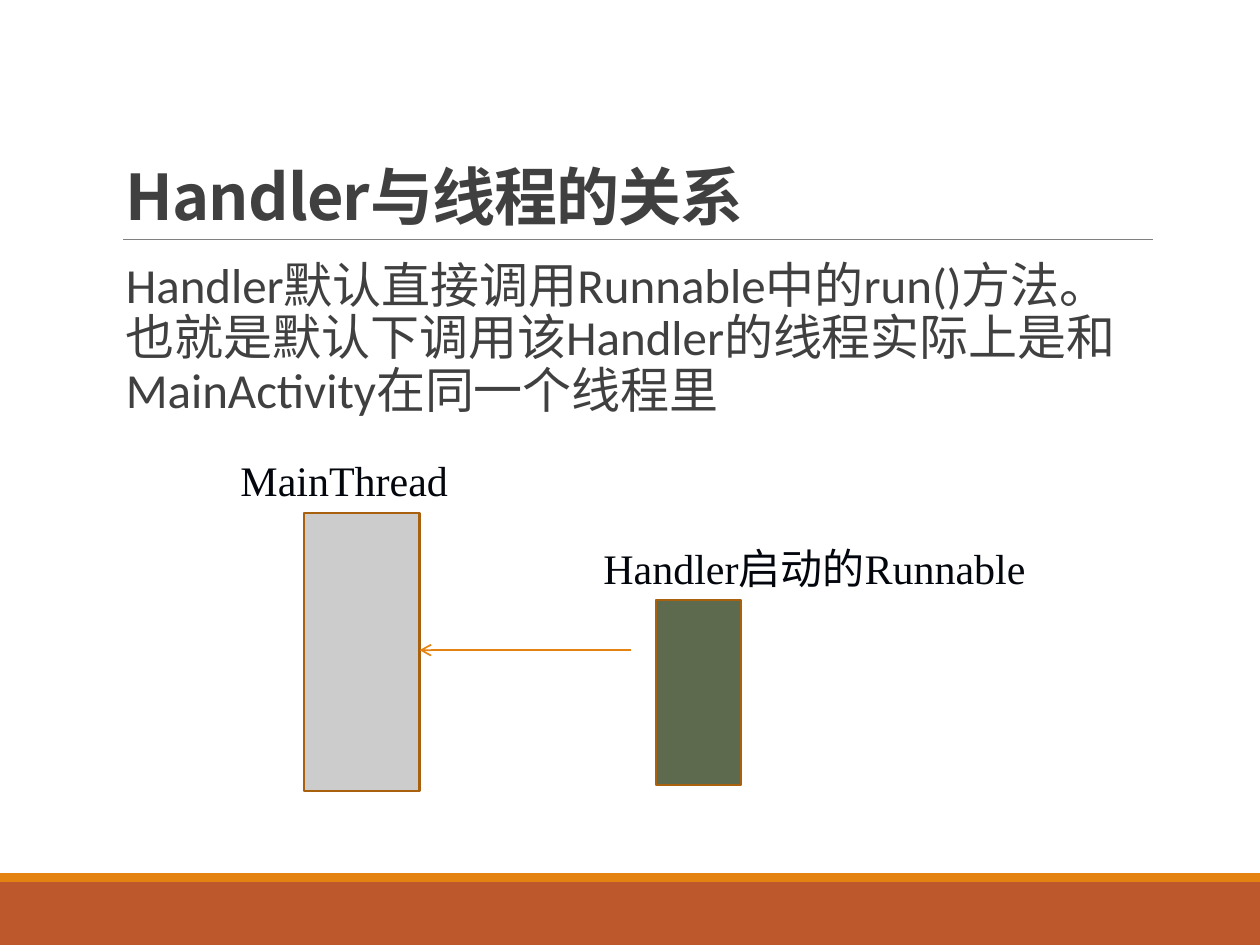
"""Build a slide on how a Handler relates to threads."""
from pptx import Presentation
from pptx.dml.color import RGBColor
from pptx.enum.shapes import MSO_CONNECTOR, MSO_SHAPE
from pptx.enum.text import MSO_ANCHOR
from pptx.oxml.ns import qn
from pptx.util import Inches, Pt
from lxml.etree import SubElement

WIDE, HIGH = 10, 7.5
RUST = RGBColor(0xBD, 0x58, 0x2C)
ORANGE = RGBColor(0xE4, 0x83, 0x12)
BROWN = RGBColor(0xA9, 0x61, 0x0D)
GRAY = RGBColor(0x80, 0x80, 0x80)
SILVER = RGBColor(0xCC, 0xCC, 0xCC)
GREEN = RGBColor(0x5E, 0x6A, 0x4E)
DARK = RGBColor(0x40, 0x40, 0x40)
INK = RGBColor(0x03, 0x07, 0x0D)
HAN = "Noto Sans CJK SC"

LEFT, SPAN, RULE = 0.9, 8.25, 1.9
TITLE = "Handler与线程的关系"
BODY = ("Handler默认直接调用Runnable中的run()方法。"
        "也就是默认下调用该Handler的线程实际上是和MainActivity在同一个线程里")
LABELS = [
    ("MainThread", (1.81, 3.56, 2.11, 0.51)),
    ("Handler启动的Runnable", (4.69, 4.26, 4.44, 0.5)),
]
BARS = [
    ((0, 7, WIDE, 0.5), RUST, None),
    ((0, 6.93, WIDE, 0.07), ORANGE, None),
    ((2.41, 4.07, 0.92, 2.21), SILVER, BROWN),
    ((5.21, 4.76, 0.67, 1.47), GREEN, BROWN),
]
LINES = [
    ((LEFT + 0.08, RULE, LEFT + SPAN, RULE), GRAY, 0.5, False),
    ((5.01, 5.16, 3.33, 5.16), ORANGE, 1, True),
]


def add_text(slide, text, area, size=24, face="Times New Roman", color=INK,
             bold=False, anchor=MSO_ANCHOR.TOP, space=1, track=0):
    frame = slide.shapes.add_textbox(*map(Inches, area)).text_frame
    frame.word_wrap = True
    frame.vertical_anchor = anchor
    line = frame.paragraphs[0]
    line.line_spacing = space
    line._p.get_or_add_pPr().set("hangingPunct", "0")
    run = line.add_run()
    run.text = text
    font = run.font
    font.name, font.size, font.bold = face, Pt(size), bold
    font.color.rgb = color
    props = run._r.get_or_add_rPr()
    SubElement(props, qn("a:ea")).set("typeface", HAN)
    if track:
        props.set("spc", str(int(track * 100)))


def add_bar(slide, area, fill, edge):
    bar = slide.shapes.add_shape(MSO_SHAPE.RECTANGLE, *map(Inches, area))
    bar.shadow.inherit = False
    bar.fill.solid()
    bar.fill.fore_color.rgb = fill
    if edge is None:
        bar.line.fill.background()
    else:
        bar.line.color.rgb = edge
        bar.line.width = Pt(1.25)


def add_line(slide, ends, color, width, arrow):
    link = slide.shapes.add_connector(MSO_CONNECTOR.STRAIGHT, *map(Inches, ends))
    link.line.color.rgb = color
    link.line.width = Pt(width)
    if arrow:
        SubElement(link.line._get_or_add_ln(), qn("a:tailEnd")).set("type", "arrow")
    SubElement(link._element.spPr, qn("a:effectLst"))


def main():
    deck = Presentation()
    deck.slide_width, deck.slide_height = Inches(WIDE), Inches(HIGH)
    slide = deck.slides.add_slide(deck.slide_layouts[6])
    for bar in BARS:
        add_bar(slide, *bar)
    for line in LINES:
        add_line(slide, *line)
    add_text(slide, TITLE, (LEFT, 0.31, SPAN, RULE - 0.31), size=36, face=HAN,
             color=DARK, bold=True, anchor=MSO_ANCHOR.BOTTOM, space=0.85, track=-0.5)
    add_text(slide, BODY, (LEFT, 2.02, SPAN + 0.1, 4.4), size=28, face="Calibri",
             color=DARK, space=0.9)
    for text, area in LABELS:
        add_text(slide, text, area)
    deck.save("out.pptx")


if __name__ == "__main__":
    main()
